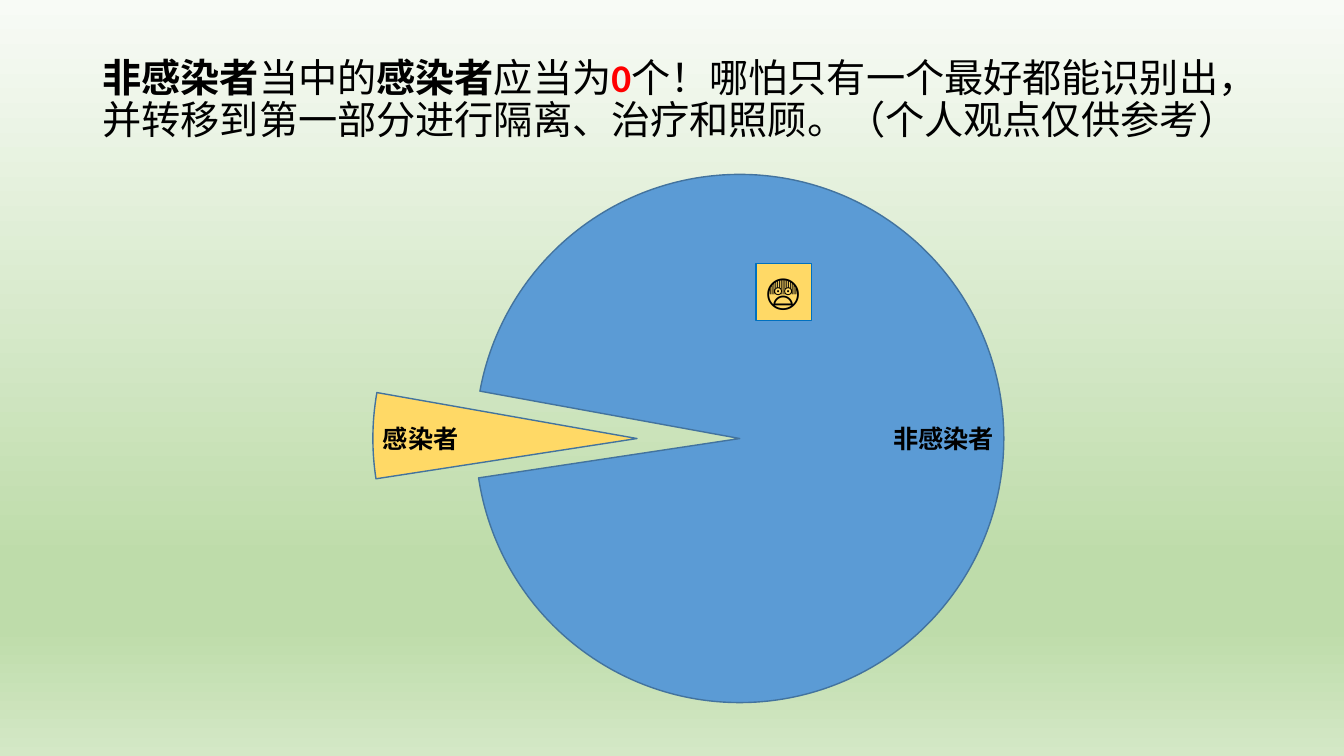
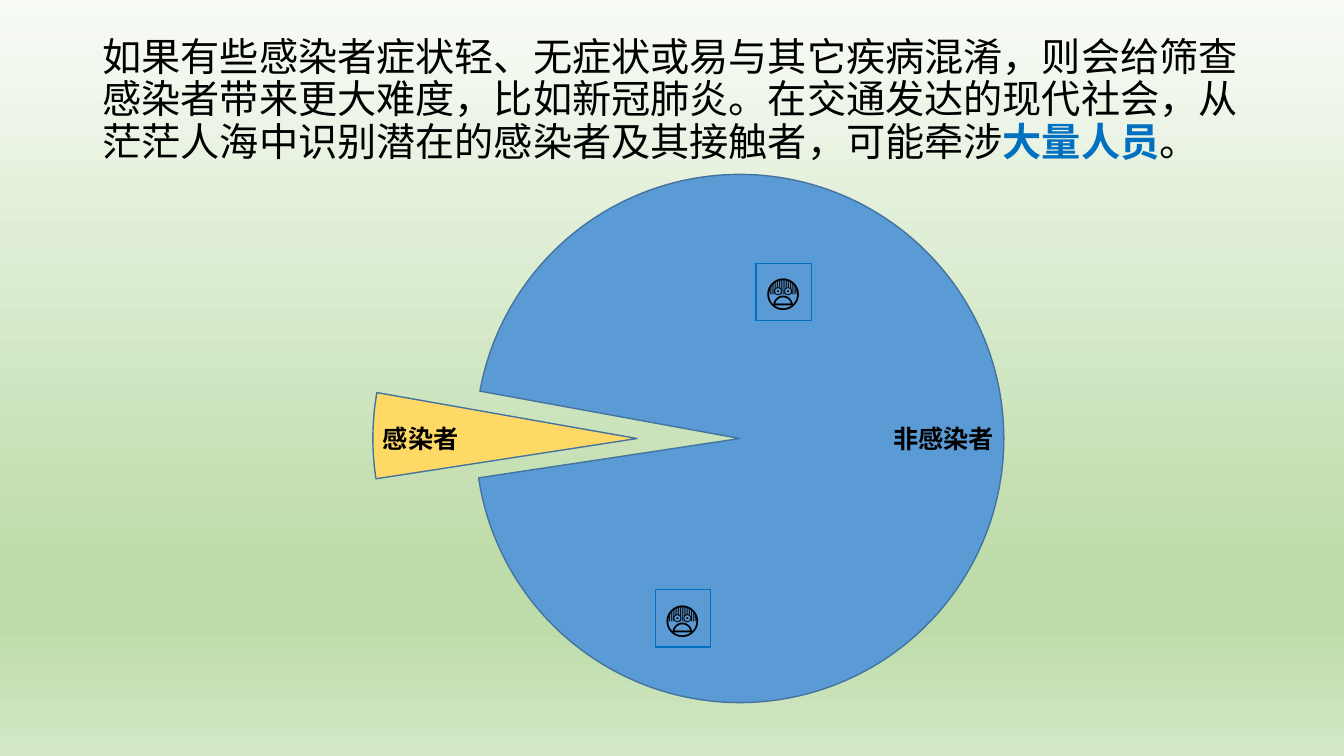
from copy import deepcopy

from lxml import etree
from pptx import Presentation
from pptx.dml.color import RGBColor
from pptx.enum.shapes import MSO_SHAPE
from pptx.enum.text import MSO_ANCHOR, MSO_AUTO_SIZE, PP_ALIGN
from pptx.oxml.ns import qn
from pptx.util import Pt

PIE, RECTANGLE = MSO_SHAPE.PIE, MSO_SHAPE.RECTANGLE
LEFT, RIGHT = PP_ALIGN.LEFT, PP_ALIGN.RIGHT
TOP, MIDDLE = MSO_ANCHOR.TOP, MSO_ANCHOR.MIDDLE
FIXED, GROW = MSO_AUTO_SIZE.NONE, MSO_AUTO_SIZE.SHAPE_TO_FIT_TEXT

BLACK, RED, ACCENT = "000000", "FF0000", "0070C0"
BLUE, YELLOW, PIE_LINE = "5B9BD5", "FFD966", "43739E"
LATIN_FONT, CHINESE_FONT = "Calibri", "Noto Sans CJK SC"
BACKGROUND_STOPS = [(0, "F8FBF6"), (0.74, "BEDCAA"), (0.83, "BEDCAA"), (1, "D4E8C6")]
TITLE_ONLY_LAYOUT = 5
PIE_TOP, PIE_SIZE = 124.6, 377.3


def color(value):
    return RGBColor.from_string(value)


class Deck:
    """Shared style and the slide being filled."""

    def __init__(self):
        self.presentation = Presentation()
        self.presentation.slide_width = Pt(960)
        self.presentation.slide_height = Pt(540)
        self.slide = None
        self.paint_background()

    def paint_background(self):
        master = self.presentation.slide_master
        fill = master.background.fill
        fill.gradient()
        fill.gradient_angle = 270
        # The default gradient has two stops; add the missing ones
        stop_list = master.element.find(".//" + qn("p:bg")).find(".//" + qn("a:gsLst"))
        while len(stop_list) < len(BACKGROUND_STOPS):
            stop_list.append(deepcopy(stop_list[0]))
        for stop, (position, value) in zip(fill.gradient_stops, BACKGROUND_STOPS):
            stop.position = position
            stop.color.rgb = color(value)

    def add_slide(self):
        layout = self.presentation.slide_layouts[TITLE_ONLY_LAYOUT]
        self.slide = self.presentation.slides.add_slide(layout)

    def add_text(self, shape, runs, size, anchor=MIDDLE, align=LEFT, auto_size=FIXED):
        """Each run is (text, bold, color, font); all but the text may be left out."""
        frame = shape.text_frame
        frame.word_wrap = True
        frame.auto_size = auto_size
        frame.vertical_anchor = anchor
        paragraph = frame.paragraphs[0]
        paragraph.alignment = align
        for text, *style in runs:
            defaults = (False, BLACK, LATIN_FONT)
            bold, text_color, font = (*style, *defaults[len(style):])
            run = paragraph.add_run()
            run.text = text
            run.font.size = Pt(size)
            run.font.bold = bold
            run.font.color.rgb = color(text_color)
            run.font.name = font
            properties = run._r.get_or_add_rPr()
            properties.set("lang", "zh-CN")
            etree.SubElement(properties, qn("a:ea")).set("typeface", CHINESE_FONT)
        return paragraph

    def title(self, runs):
        title = self.slide.shapes.title
        title.left, title.top = Pt(66), Pt(20)
        title.width, title.height = Pt(828), Pt(104.4)
        self.add_text(title, runs, 28).line_spacing = 0.9

    def shape(self, kind, left, top, width, height, fill, line, line_width):
        shape = self.slide.shapes.add_shape(kind, Pt(left), Pt(top), Pt(width), Pt(height))
        shape.shadow.inherit = False
        shape.fill.solid()
        shape.fill.fore_color.rgb = color(fill)
        shape.line.color.rgb = color(line)
        shape.line.width = Pt(line_width)
        return shape

    def sector(self, left, start, end, fill, label, align):
        """Pie sector between two angles in degrees, clockwise from the right."""
        sector = self.shape(PIE, left, PIE_TOP, PIE_SIZE, PIE_SIZE, fill, PIE_LINE, 1)
        for index, angle in enumerate((start, end)):
            sector.adjustments[index] = angle * 0.6  # 60000 units per degree
        self.add_text(sector, [(label, True)], 18, align=align)

    def groups(self):
        self.sector(339.8, 190.33, 171.42, BLUE, "非感染者", RIGHT)
        self.sector(266.4, 171.22, 190.01, YELLOW, "感染者", LEFT)

    def hidden_case(self, left, top, fill):
        case = self.shape(RECTANGLE, left, top, 39.6, 41, fill, ACCENT, 0.75)
        self.add_text(case, [("😨",)], 27, anchor=TOP, auto_size=GROW)


def main():
    deck = Deck()

    # Slide 1: one visible case among the uninfected
    deck.add_slide()
    deck.title([
        ("非感染者", True),
        ("当中的",),
        ("感染者", True),
        ("应当为",),
        ("0", True, RED),
        ("个！哪怕只有一个最好都能识别出，并转移到第一部分进行隔离、治疗和照顾。",),
        ("（个人观点仅供参考）", False, BLACK, CHINESE_FONT),
    ])
    deck.groups()
    deck.hidden_case(540, 188, YELLOW)

    # Slide 2: cases that blend in with the uninfected
    deck.add_slide()
    deck.title([
        ("如果有些感染者症状轻、无症状或易与其它疾病混淆，则会给筛查感染者带来更大难度，"
         "比如新冠肺炎。在交通发达的现代社会，从茫茫人海中识别潜在的感染者及其接触者，"
         "可能牵涉",),
        ("大量人员", True, ACCENT),
        ("。",),
    ])
    deck.groups()
    for left, top in ((540, 188), (468, 421.2)):
        deck.hidden_case(left, top, BLUE)

    deck.presentation.save("out.pptx")


if __name__ == "__main__":
    main()
